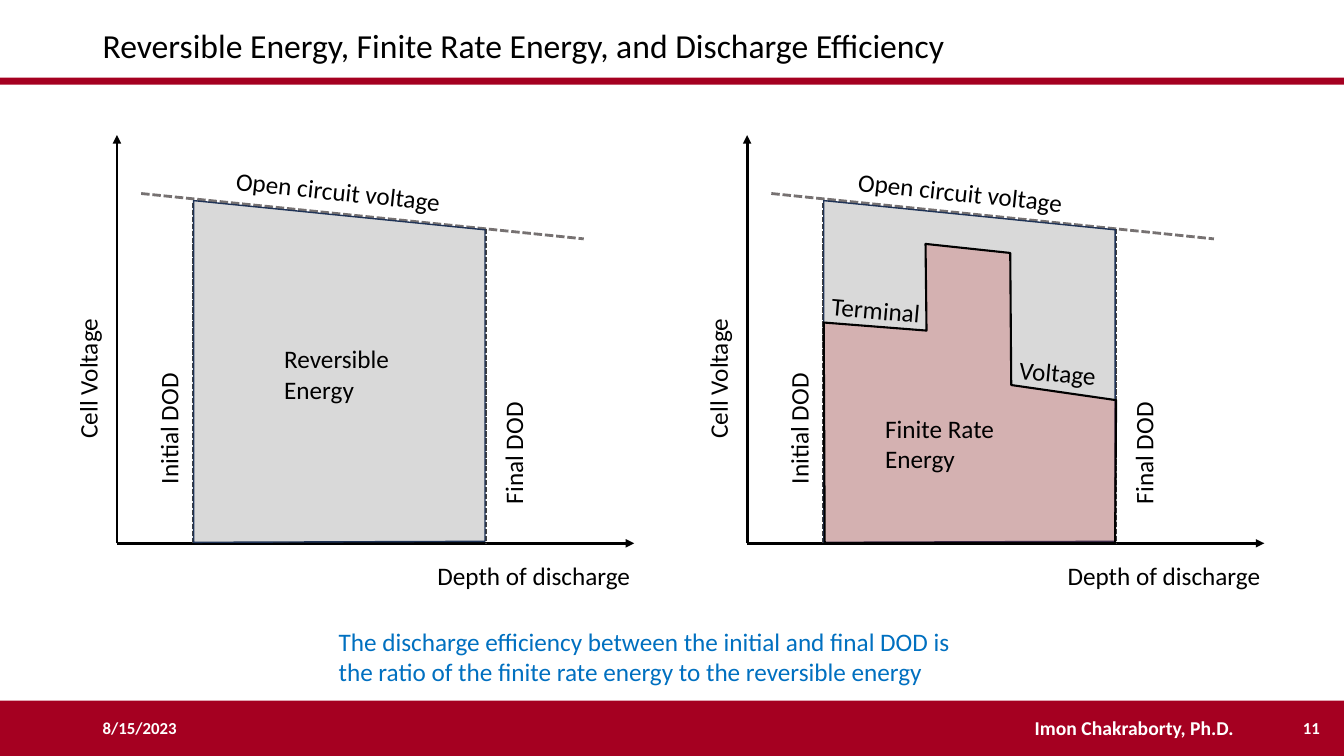
from lxml.etree import SubElement
from pptx import Presentation
from pptx.dml.color import RGBColor
from pptx.enum.dml import MSO_LINE
from pptx.enum.shapes import MSO_CONNECTOR, MSO_SHAPE
from pptx.enum.text import MSO_ANCHOR, PP_ALIGN
from pptx.oxml.ns import qn
from pptx.util import Inches, Pt

THEME = {
    "font": "Calibri",
    "size": {"title": 24, "body": 18, "author": 14, "footer": 12},
    "color": {
        "band": "A50021", "text": "000000", "inverse": "FFFFFF", "accent": "0070C0",
        "axis": "000000", "voltage": "767171", "limit": "404040",
        "reversible": "D9D9D9", "reversible_edge": "1E3256", "finite": "C00000",
    },
}

BANDS = [(0, 6.95, 13.33, 0.55), (0, 0.77, 13.33, 0.07)]
TITLE = ("Reversible Energy, Finite Rate Energy, and Discharge Efficiency", (0.92, 0.15, 11.5, 0.6))
FOOTER = [
    ("8/15/2023", (0.92, 7.02, 3, 0.4), "footer", PP_ALIGN.LEFT),
    ("Imon Chakraborty, Ph.D.", (9.89, 7.02, 2.72, 0.4), "author", PP_ALIGN.CENTER),
    ("11", (12.76, 7.02, 0.43, 0.4), "footer", PP_ALIGN.RIGHT),
]
CONCLUSION = (
    "The discharge efficiency between the initial and final DOD is "
    "the ratio of the finite rate energy to the reversible energy",
    (3.26, 6.16, 6.35, 0.71),
)

GRAPH_OFFSETS = [0, 6.25]
AXES = [((1.16, 5.39), (1.16, 1.34)), ((1.16, 5.39), (6.29, 5.39))]
OPEN_CIRCUIT = ((1.4, 1.92), (5.79, 2.37))
DOD_LIMITS = [((1.91, 2.01), (1.91, 5.39)), ((4.82, 2.27), (4.82, 5.39))]
REVERSIBLE_AREA = [(1.92, 5.38), (1.92, 1.99), (4.81, 2.28), (4.81, 5.37)]
GRAPH_LABELS = [
    ("Cell Voltage", (0.1, 3.48, 1.54, 0.4), 270),
    ("Depth of discharge", (4.24, 5.51, 2.48, 0.4), 0),
    ("Initial DOD", (0.9, 3.93, 1.54, 0.4), 270),
    ("Final DOD", (4.32, 4.13, 1.54, 0.4), 270),
]
FINITE_RATE_AREA = [
    (8.17, 3.2), (9.19, 3.28), (9.18, 2.42), (10.02, 2.51), (10.03, 3.82),
    (11.07, 3.97), (11.06, 5.39), (8.18, 5.39),
]
AREA_LABELS = [
    ("Open circuit voltage", (2.24, 1.71, 2.48, 0.4), 6.1),
    ("Reversible Energy", (2.72, 3.36, 1.32, 0.71), 0),
    ("Terminal", (8.15, 2.88, 1.28, 0.4), 5),
    ("Voltage", (10.01, 3.51, 1.28, 0.4), 5),
    ("Finite Rate Energy", (8.68, 4.05, 1.32, 0.71), 0),
    ("Open circuit voltage", (8.41, 1.72, 2.48, 0.4), 6.1),
]


def color(name):
    return RGBColor.from_string(THEME["color"][name])


def shift(points, dx):
    return [(x + dx, y) for x, y in points]


def add_label(slide, words, box, rotation=0, size="body", ink="text", bold=False,
              align=PP_ALIGN.LEFT, anchor=MSO_ANCHOR.TOP):
    label = slide.shapes.add_textbox(*map(Inches, box))
    label.rotation = rotation
    frame = label.text_frame
    frame.word_wrap = True
    frame.vertical_anchor = anchor
    paragraph = frame.paragraphs[0]
    paragraph.alignment = align
    run = paragraph.add_run()
    run.text = words
    run.font.name = THEME["font"]
    run.font.size = Pt(THEME["size"][size])
    run.font.bold = bold
    run.font.color.rgb = color(ink)


def add_line(slide, ends, ink, width, dashed=False, arrow=False):
    start, end = ends
    line = slide.shapes.add_connector(MSO_CONNECTOR.STRAIGHT, *map(Inches, start + end))
    line.line.color.rgb = color(ink)
    line.line.width = Pt(width)
    if dashed:
        line.line.dash_style = MSO_LINE.SQUARE_DOT
    if arrow:
        SubElement(line.line._get_or_add_ln(), qn("a:tailEnd"), type="triangle")
    SubElement(line._element.spPr, qn("a:effectLst"))


def add_area(slide, points, fill, edge, width, opacity=None):
    corners = [(Inches(x), Inches(y)) for x, y in points]
    builder = slide.shapes.build_freeform(*corners[0])
    builder.add_line_segments(corners[1:], close=True)
    area = builder.convert_to_shape()
    area.shadow.inherit = False
    area.fill.solid()
    area.fill.fore_color.rgb = color(fill)
    if opacity is not None:
        tint = area._element.spPr.find(qn("a:solidFill")).find(qn("a:srgbClr"))
        SubElement(tint, qn("a:alpha"), val=str(opacity * 1000))
    area.line.color.rgb = color(edge)
    area.line.width = Pt(width)


def add_band(slide, box):
    band = slide.shapes.add_shape(MSO_SHAPE.RECTANGLE, *map(Inches, box))
    band.shadow.inherit = False
    band.fill.solid()
    band.fill.fore_color.rgb = color("band")
    band.line.fill.background()


def add_graph(slide, dx):
    for axis in AXES:
        add_line(slide, shift(axis, dx), "axis", 2, arrow=True)
    add_line(slide, shift(OPEN_CIRCUIT, dx), "voltage", 2, dashed=True)
    for limit in DOD_LIMITS:
        add_line(slide, shift(limit, dx), "limit", 1.25, dashed=True)
    add_area(slide, shift(REVERSIBLE_AREA, dx), "reversible", "reversible_edge", 1)
    for words, (left, *rest), rotation in GRAPH_LABELS:
        add_label(slide, words, (left + dx, *rest), rotation)


def main():
    deck = Presentation()
    deck.slide_width, deck.slide_height = Inches(13.33), Inches(7.5)
    slide = deck.slides.add_slide(deck.slide_layouts[6])
    for band in BANDS:
        add_band(slide, band)
    add_label(slide, *TITLE, size="title", anchor=MSO_ANCHOR.MIDDLE)
    for words, box, size, align in FOOTER:
        add_label(slide, words, box, size=size, ink="inverse", bold=True,
                  align=align, anchor=MSO_ANCHOR.MIDDLE)
    for dx in GRAPH_OFFSETS:
        add_graph(slide, dx)
    add_area(slide, FINITE_RATE_AREA, "finite", "axis", 1.5, opacity=18)
    for words, box, rotation in AREA_LABELS:
        add_label(slide, words, box, rotation)
    add_label(slide, *CONCLUSION, ink="accent")
    deck.save("out.pptx")


if __name__ == "__main__":
    main()
